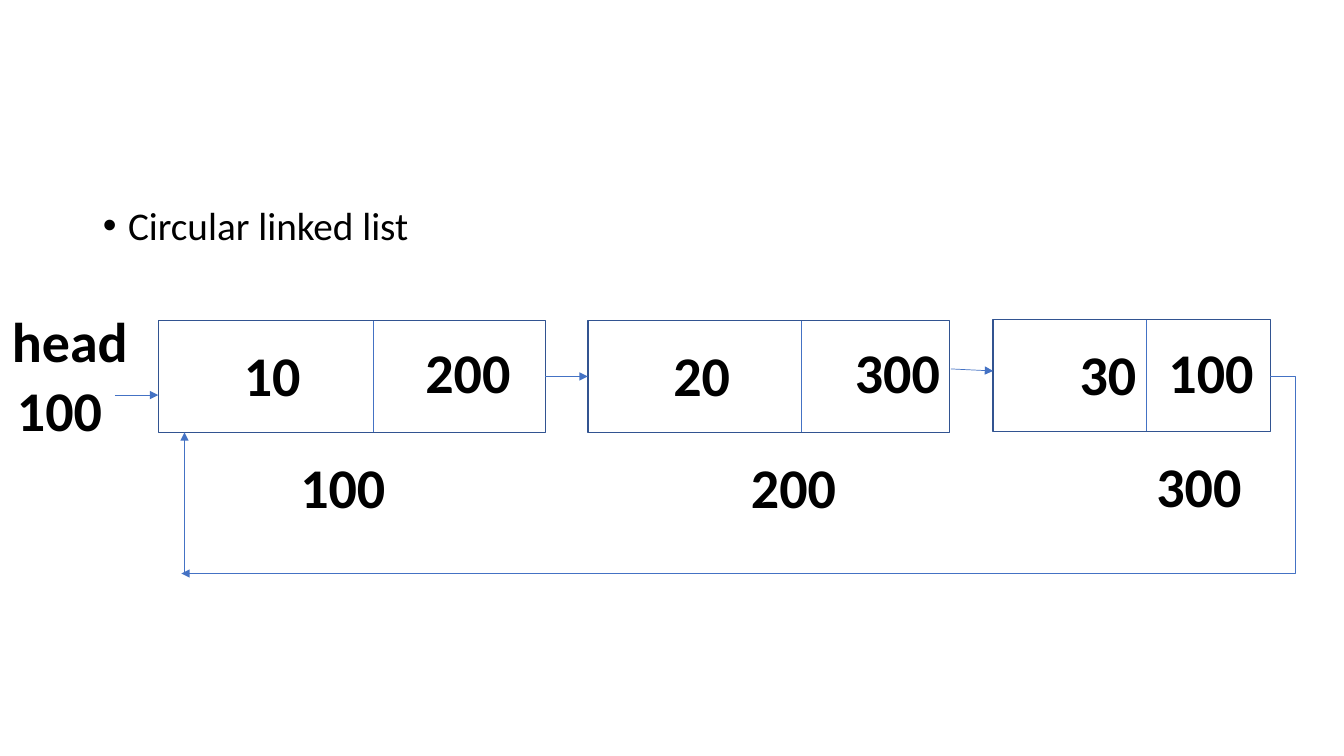
import pptx
import pptx.dml.color
import pptx.enum.shapes
import pptx.enum.text
import pptx.oxml
import pptx.oxml.ns
import pptx.util

EMU_PER_PX = 9144
FONT = "Calibri"
BLACK, OUTLINE, LINK = "000000", "325491", "4472C4"
STRAIGHT = pptx.enum.shapes.MSO_CONNECTOR.STRAIGHT
ELBOW = pptx.enum.shapes.MSO_CONNECTOR.ELBOW
LABEL_HEIGHT = 77
NODES = [
    ((157, 318, 384, 111), 213, [("10", 75, 15, 77), ("200", 255, 12, 105), ("100", 131, 126, 105)]),
    ((583, 318, 359, 111), 212, [("20", 75, 15, 77), ("300", 255, 12, 105), ("200", 152, 126, 105)]),
    ((985, 317, 275, 111), 152, [("30", 76, 15, 77), ("100", 164, 13, 105), ("300", 152, 126, 105)]),
]


def px(*lengths):
    """Turn pixel lengths into EMU."""
    return [pptx.util.Emu(length * EMU_PER_PX) for length in lengths]


def color(hex_string):
    """Turn a hex string into a colour."""
    return pptx.dml.color.RGBColor.from_string(hex_string)


def add_xml(parent, tag, **attributes):
    """Append a drawing element with attributes to a parent."""
    element = pptx.oxml.parse_xml(f'<a:{tag} {pptx.oxml.ns.nsdecls("a")}/>')
    for name, value in attributes.items():
        element.set(name, value)
    parent.append(element)


def add_run(paragraph, text, size, bold=False):
    """Add one formatted run to a paragraph."""
    run = paragraph.add_run()
    run.text = text
    run.font.name = FONT
    run.font.size = pptx.util.Pt(size)
    run.font.bold = bold
    run.font.color.rgb = color(BLACK)


def add_label(slide, text, left, top, width):
    """Add a large bold label that does not wrap."""
    frame = slide.shapes.add_textbox(*px(left, top, width, LABEL_HEIGHT)).text_frame
    frame.word_wrap = False
    frame.auto_size = pptx.enum.text.MSO_AUTO_SIZE.SHAPE_TO_FIT_TEXT
    add_run(frame.paragraphs[0], text, 40, True)


def add_line(slide, start, end, kind=STRAIGHT, arrow=False):
    """Add a thin line between two points, with an optional arrowhead."""
    connector = slide.shapes.add_connector(kind, *px(*start, *end))
    connector.line.color.rgb = color(LINK)
    connector.line.width = pptx.util.Pt(0.5)
    if arrow:
        add_xml(connector.line._get_or_add_ln(), "tailEnd", type="triangle")
    add_xml(connector._element.spPr, "effectLst")
    return connector


def add_body(slide, box):
    """Place the bulleted topic in the body placeholder."""
    body = slide.placeholders[1]
    body.left, body.top, body.width, body.height = px(*box)
    paragraph = body.text_frame.paragraphs[0]
    paragraph.line_spacing = 0.9
    paragraph.space_before = pptx.util.Pt(0)
    properties = paragraph._p.get_or_add_pPr()
    indent = px(25)[0]
    properties.set("marL", str(indent))
    properties.set("indent", str(-indent))
    add_xml(properties, "buFont", typeface="Arial")
    add_xml(properties, "buChar", char="•")
    add_run(paragraph, "Circular linked list", 28)


def add_node(slide, box, divider, labels):
    """Draw a list node with its data, pointer and address."""
    left, top, width, height = box
    rectangle = slide.shapes.add_shape(pptx.enum.shapes.MSO_SHAPE.RECTANGLE, *px(*box))
    rectangle.shadow.inherit = False
    rectangle.fill.background()
    rectangle.line.color.rgb = color(OUTLINE)
    rectangle.line.width = pptx.util.Pt(1)
    add_line(slide, (left + divider, top), (left + divider, top + height))
    for text, across, down, label_width in labels:
        add_label(slide, text, left + across, top + down, label_width)
    return rectangle


def add_head(slide, left, top):
    """Draw the head pointer and its arrow to the first node."""
    add_label(slide, "head", left, top, 136)
    add_label(slide, "100", left + 5, top + 69, 105)
    add_line(slide, (left + 112, top + 93), (left + 155, top + 93), arrow=True)


def add_links(slide, nodes):
    """Link the nodes in order and return from the last to the first."""
    first_link = add_line(slide, (541, 374), (583, 374), arrow=True)
    first_link.begin_connect(nodes[0], 3)
    first_link.end_connect(nodes[1], 1)
    add_line(slide, (943, 366), (985, 368), arrow=True)
    return_link = add_line(slide, (1260, 373), (180, 569), ELBOW, True)
    return_link._element.spPr.prstGeom.get_or_add_avLst()
    add_xml(return_link._element.spPr.prstGeom.avLst, "gd", name="adj1", fmla="val -2300")
    add_line(slide, (183, 569), (183, 429), arrow=True)


def main():
    """Build and save the circular linked list slide."""
    presentation = pptx.Presentation()
    presentation.slide_width, presentation.slide_height = px(1333, 750)
    slide = presentation.slides.add_slide(presentation.slide_layouts[1])
    title = slide.shapes.title._element
    title.getparent().remove(title)
    add_body(slide, (92, 200, 1150, 476))
    nodes = [add_node(slide, *node) for node in NODES]
    add_head(slide, 2, 299)
    add_links(slide, nodes)
    presentation.save("out.pptx")


if __name__ == "__main__":
    main()
